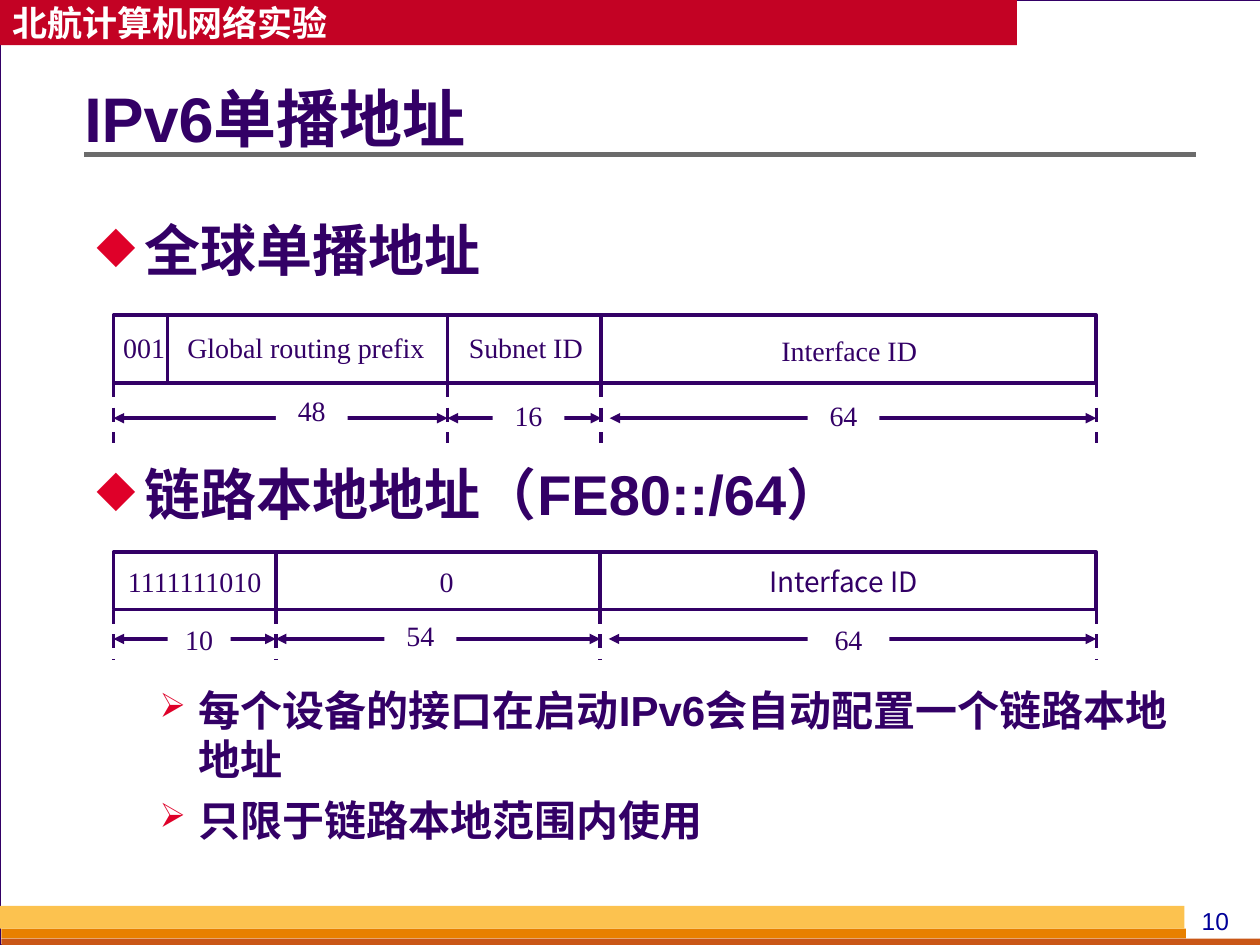
from lxml import etree
from pptx import Presentation
from pptx.dml.color import RGBColor
from pptx.enum import dml, shapes, text
from pptx.oxml import ns
from pptx.util import Cm, Pt

INK = RGBColor(0x33, 0x00, 0x66)
RED = RGBColor(0xC3, 0x02, 0x24)
MARK = RGBColor(0xDF, 0x00, 0x29)
WHITE = RGBColor(0xFF, 0xFF, 0xFF)
BACK = RGBColor(0xD8, 0xDA, 0xDA)
GREY = RGBColor(0x6B, 0x6B, 0x6B)
BLUE = RGBColor(0x00, 0x00, 0x99)
ORANGE = RGBColor(0xE8, 0x80, 0x00)
RUST = RGBColor(0xC9, 0x56, 0x16)
GOLD = RGBColor(0xFC, 0xC2, 0x4F)

SANS, HAN, SERIF = "Arial", "Noto Sans CJK SC", "Times New Roman"
HEAD = {"size": Pt(20), "name": HAN, "bold": True}
TITLE = {"size": Pt(36), "name": SANS, "bold": True}
PAGE = {"size": Pt(14), "name": SANS}
LABEL = {"size": Pt(16), "name": SERIF}
LEFT, MID = text.PP_ALIGN.LEFT, text.PP_ALIGN.CENTER

BARS = [
    ((0, 0, 20.5, 0.91), RED),
    ((0.03, 18.72, 23.88, 0.2), ORANGE),
    ((0.03, 18.92, 25.4, 0.2), RUST),
    ((0, 18.26, 23.88, 0.46), GOLD),
]

LEVELS = {
    0: {"char": "◆", "part": 90, "left": 0.97, "hang": 0.97, "size": 32, "line": 38},
    1: {"char": "➢", "part": 80, "left": 2.06, "hang": 0.79, "size": 24, "line": 28.5},
}
POINTS = [
    (0, "全球单播地址", 0),
    (0, "链路本地地址（FE80::/64）", 101.5),
    (1, "每个设备的接口在启动IPv6会自动配置一个链路本地地址", 90),
    (1, "只限于链路本地范围内使用", 6),
]

FIELDS = [
    {
        "top": 6.35, "base": 7.72, "foot": 8.94, "row": 8.43,
        "walls": [3.38, 9.02, 12.12], "ticks": [2.29, 9.02, 12.12, 22.1],
        "spans": [(2.29, 9.02), (9.02, 12.12), (12.29, 22.1)],
        "cells": [("001", 2.36, 6.53, 1.09, SERIF),
                  ("Global routing prefix", 3.35, 6.53, 5.64, SERIF),
                  ("Subnet ID", 8.86, 6.53, 3.48, SERIF),
                  ("Interface ID", 13.31, 6.6, 7.62, SERIF)],
        "bits": [("48", 5.56, 7.8, 1.45), ("16", 9.93, 7.9, 1.45),
                 ("64", 16.28, 7.9, 1.45)],
    },
    {
        "top": 11.13, "base": 12.29, "foot": 13.31, "row": 12.88,
        "walls": [5.56, 12.1], "ticks": [2.29, 5.56, 12.1, 22.1],
        "spans": [(2.29, 5.56), (5.56, 12.1), (12.27, 22.1)],
        "cells": [("1111111010", 2.11, 11.25, 3.63, SERIF),
                  ("0", 7.19, 11.25, 3.63, SERIF),
                  ("Interface ID", 13.18, 11.25, 7.65, HAN)],
        "bits": [("10", 3.38, 12.42, 1.27), ("54", 7.75, 12.34, 1.45),
                 ("64", 16.28, 12.42, 1.65)],
    },
]


def style(font, form, color):
    for key, val in form.items():
        setattr(font, key, val)
    font.color.rgb = color


def han(run):
    node = etree.SubElement(run._r.get_or_add_rPr(), ns.qn("a:ea"))
    node.set("typeface", HAN)


def rect(pool, spot, fill=None, line=None, width=0.75):
    box = pool.add_shape(shapes.MSO_SHAPE.RECTANGLE, *map(Cm, spot))
    box.shadow.inherit = False
    if fill is None:
        box.fill.background()
    else:
        box.fill.solid()
        box.fill.fore_color.rgb = fill
    if line is None:
        box.line.fill.background()
    else:
        box.line.color.rgb = line
        box.line.width = Pt(width)
    return box


def write(box, words, form, color, align=MID, anchor=text.MSO_ANCHOR.TOP, pad=0.25):
    frame = box.text_frame
    look = {"word_wrap": True, "vertical_anchor": anchor,
            "margin_left": Cm(pad), "margin_right": Cm(pad)}
    for key, val in look.items():
        setattr(frame, key, val)
    para = frame.paragraphs[0]
    para.alignment = align
    run = para.add_run()
    run.text = words
    style(run.font, form, color)
    han(run)
    return para


def rule(pool, ends, color=INK, width=2, dash=False, tips=False):
    line = pool.add_connector(shapes.MSO_CONNECTOR.STRAIGHT, *map(Cm, ends))
    line.line.color.rgb = color
    line.line.width = Pt(width)
    if dash:
        line.line.dash_style = dml.MSO_LINE.DASH
    if tips:
        for tag in ("a:headEnd", "a:tailEnd"):
            tip = etree.SubElement(line.line._get_or_add_ln(), ns.qn(tag))
            tip.set("type", "triangle")
    etree.SubElement(line._element.spPr, ns.qn("a:effectLst"))


def bullet(para, form):
    props = para._p.get_or_add_pPr()
    props.set("marL", str(Cm(form["left"])))
    props.set("indent", str(-Cm(form["hang"])))
    tint = etree.SubElement(props, ns.qn("a:buClr"))
    etree.SubElement(tint, ns.qn("a:srgbClr")).set("val", str(MARK))
    size = etree.SubElement(props, ns.qn("a:buSzPct"))
    size.set("val", str(form["part"] * 1000))
    etree.SubElement(props, ns.qn("a:buChar")).set("char", form["char"])


def outline(pool):
    frame = pool.add_textbox(*map(Cm, (1.7, 4.24, 22.4, 13.5))).text_frame
    frame.word_wrap = True
    for num, (level, words, gap) in enumerate(POINTS):
        form = LEVELS[level]
        para = frame.add_paragraph() if num else frame.paragraphs[0]
        bullet(para, form)
        para.level = level
        para.line_spacing = Pt(form["line"])
        para.space_before = Pt(gap)
        run = para.add_run()
        run.text = words
        style(run.font, {"size": Pt(form["size"]), "name": SANS, "bold": True}, INK)
        han(run)


def field(pool, data):
    top, base, foot, row = (data[key] for key in ("top", "base", "foot", "row"))
    left, right = data["ticks"][0], data["ticks"][-1]
    rect(pool, (left, top, right - left, base - top), line=INK, width=2)
    for x in data["walls"]:
        rule(pool, (x, top, x, base))
    for x in data["ticks"]:
        rule(pool, (x, base, x, foot), dash=True)
    for start, end in data["spans"]:
        rule(pool, (start, row, end, row), tips=True)
    for words, x, y, wide, face in data["cells"]:
        box = pool.add_textbox(*map(Cm, (x, y, wide, 0.94)))
        write(box, words, {**LABEL, "name": face}, INK, pad=0)
    for words, x, y, wide in data["bits"]:
        write(rect(pool, (x, y, wide, 0.94), WHITE), words, LABEL, INK)


def main():
    deck = Presentation()
    deck.slide_width, deck.slide_height = Cm(25.4), Cm(19.05)
    slide = deck.slides.add_slide(deck.slide_layouts[6])
    slide.background.fill.solid()
    slide.background.fill.fore_color.rgb = BACK
    pool = slide.shapes
    rect(pool, (0, 0, 25.43, 19.05), WHITE, INK)
    bars = [rect(pool, spot, fill) for spot, fill in BARS]
    write(bars[0], "北航计算机网络实验", HEAD, WHITE, LEFT, text.MSO_ANCHOR.MIDDLE)
    page = pool.add_textbox(*map(Cm, (23.7, 18.14, 1.6, 0.86)))
    write(page, "10", PAGE, BLUE)
    rule(pool, (1.7, 3.12, 24.1, 3.12), GREY, 3)
    title = pool.add_textbox(*map(Cm, (1.7, 1.17, 22.4, 2.57)))
    para = write(title, "IPv6单播地址", TITLE, INK, LEFT, text.MSO_ANCHOR.MIDDLE, 0)
    para.line_spacing = 0.9
    outline(pool)
    for data in FIELDS:
        field(pool.add_group_shape().shapes, data)
    deck.save("out.pptx")


if __name__ == "__main__":
    main()
